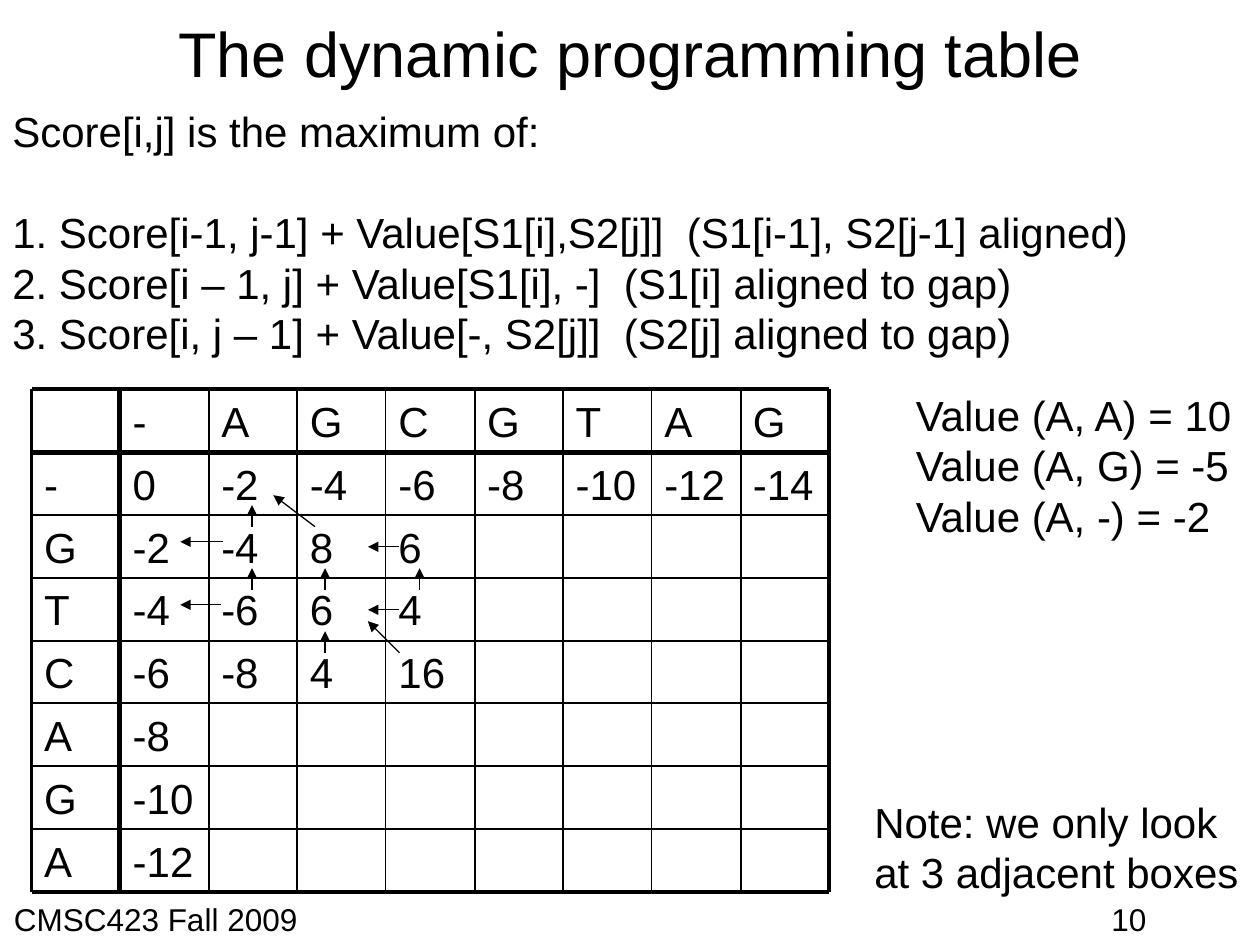
from typing import NamedTuple

from lxml.etree import SubElement
from pptx import Presentation
from pptx.dml.color import RGBColor
from pptx.enum.shapes import MSO_CONNECTOR
from pptx.enum.text import MSO_ANCHOR, PP_ALIGN
from pptx.oxml.ns import qn
from pptx.slide import Slide
from pptx.util import Emu, Pt

BLACK = RGBColor(0, 0, 0)
FONT = "Arial"
SCALE = 9144
LEFT, TOP, WIDTH, HEIGHT = 25, 309, 633, 399


class Block(NamedTuple):
    left: int
    top: int
    width: int
    height: int
    lines: list[str]
    size: int = 24
    inset: bool = True
    wrap: bool = True
    align: PP_ALIGN = PP_ALIGN.LEFT
    anchor: MSO_ANCHOR = MSO_ANCHOR.TOP
    gap: int = 0


class Line(NamedTuple):
    x1: int
    y1: int
    x2: int
    y2: int
    width: float = 0.75
    head: bool = True


BLOCKS = [
    Block(0, 8, 1000, 67, ["The dynamic programming table"], size=36,
          align=PP_ALIGN.CENTER, anchor=MSO_ANCHOR.MIDDLE),
    Block(0, 79, 1000, 210, [
        "Score[i,j] is the maximum of:",
        "1. Score[i-1, j-1] + Value[S1[i],S2[j]]  (S1[i-1], S2[j-1] aligned)",
        "2. Score[i – 1, j] + Value[S1[i], -]  (S1[i] aligned to gap)",
        "3. Score[i, j – 1] + Value[-, S2[j]]  (S2[j] aligned to gap)",
    ], gap=29),
    Block(717, 304, 275, 130, [
        "Value (A, A) = 10", "Value (A, G) = -5", "Value (A, -) = -2",
    ], wrap=False),
    Block(684, 627, 309, 90, ["Note: we only look", "at 3 adjacent boxes"], wrap=False),
    Block(11, 714, 871, 36, ["CMSC423 Fall 2009"], size=18, inset=False),
    Block(882, 714, 108, 36, ["10"], size=18, inset=False),
]

SCORES = [
    ["", "-", "A", "G", "C", "G", "T", "A", "G"],
    ["-", "0", "-2", "-4", "-6", "-8", "-10", "-12", "-14"],
    ["G", "-2", "-4", "8", "6"],
    ["T", "-4", "-6", "6", "4"],
    ["C", "-6", "-8", "4", "16"],
    ["A", "-8"],
    ["G", "-10"],
    ["A", "-12"],
]
ROWS, COLS = len(SCORES), len(SCORES[0])

ARROWS = [
    Line(200, 418, 200, 401),
    Line(200, 468, 200, 451),
    Line(258, 468, 258, 451),
    Line(258, 518, 258, 501),
    Line(333, 468, 333, 451),
    Line(177, 430, 143, 430),
    Line(175, 480, 143, 480),
    Line(317, 434, 292, 434),
    Line(317, 484, 292, 484),
    Line(250, 418, 217, 393),
    Line(317, 518, 292, 493),
]


def px(count: int) -> Emu:
    return Emu(count * SCALE)


def add_run(para, text: str, size: int) -> None:
    run = para.add_run()
    run.text = text
    run.font.name = FONT
    run.font.size = Pt(size)
    run.font.color.rgb = BLACK


def add_block(slide: Slide, block: Block) -> None:
    box = slide.shapes.add_textbox(
        px(block.left), px(block.top), px(block.width), px(block.height))
    frame = box.text_frame
    frame.word_wrap = block.wrap
    frame.vertical_anchor = block.anchor
    if not block.inset:
        frame.margin_left = frame.margin_right = 0
        frame.margin_top = frame.margin_bottom = 0
    for row, line in enumerate(block.lines):
        para = frame.add_paragraph() if row else frame.paragraphs[0]
        para.alignment = block.align
        if row == 0:
            para.space_after = Pt(block.gap)
        add_run(para, line, block.size)


def add_scores(slide: Slide) -> None:
    table = slide.shapes.add_table(
        ROWS, COLS, px(LEFT), px(TOP), px(WIDTH), px(HEIGHT)).table
    table.first_row = table.horz_banding = False
    for row, texts in enumerate(SCORES):
        for col in range(COLS):
            cell = table.cell(row, col)
            cell.margin_left = cell.margin_right = px(10)
            cell.margin_top, cell.margin_bottom = px(8), px(2)
            cell.fill.background()
            if col < len(texts) and texts[col]:
                add_run(cell.text_frame.paragraphs[0], texts[col], 24)


def rule_width(index: int, last: int) -> float:
    return 2.25 if index in (0, last) else 3 if index == 1 else 1


def grid_rules() -> list[Line]:
    rules = []
    for row in range(ROWS + 1):
        y = TOP + round(HEIGHT * row / ROWS)
        rules.append(Line(LEFT, y, LEFT + WIDTH, y, rule_width(row, ROWS), False))
    for col in range(COLS + 1):
        x = LEFT + round(WIDTH * col / COLS)
        rules.append(Line(x, TOP, x, TOP + HEIGHT, rule_width(col, COLS), False))
    return rules


def add_line(slide: Slide, line: Line) -> None:
    shape = slide.shapes.add_connector(
        MSO_CONNECTOR.STRAIGHT,
        px(line.x1), px(line.y1), px(line.x2), px(line.y2))
    shape.line.color.rgb = BLACK
    shape.line.width = Pt(line.width)
    if line.head:
        SubElement(shape.line._get_or_add_ln(), qn("a:tailEnd"), type="triangle")
    SubElement(shape._element.spPr, qn("a:effectLst"))


def main() -> None:
    deck = Presentation()
    deck.slide_width, deck.slide_height = px(1000), px(750)
    slide = deck.slides.add_slide(deck.slide_layouts[6])
    add_scores(slide)
    for block in BLOCKS:
        add_block(slide, block)
    for line in grid_rules() + ARROWS:
        add_line(slide, line)
    deck.save("out.pptx")


if __name__ == "__main__":
    main()
